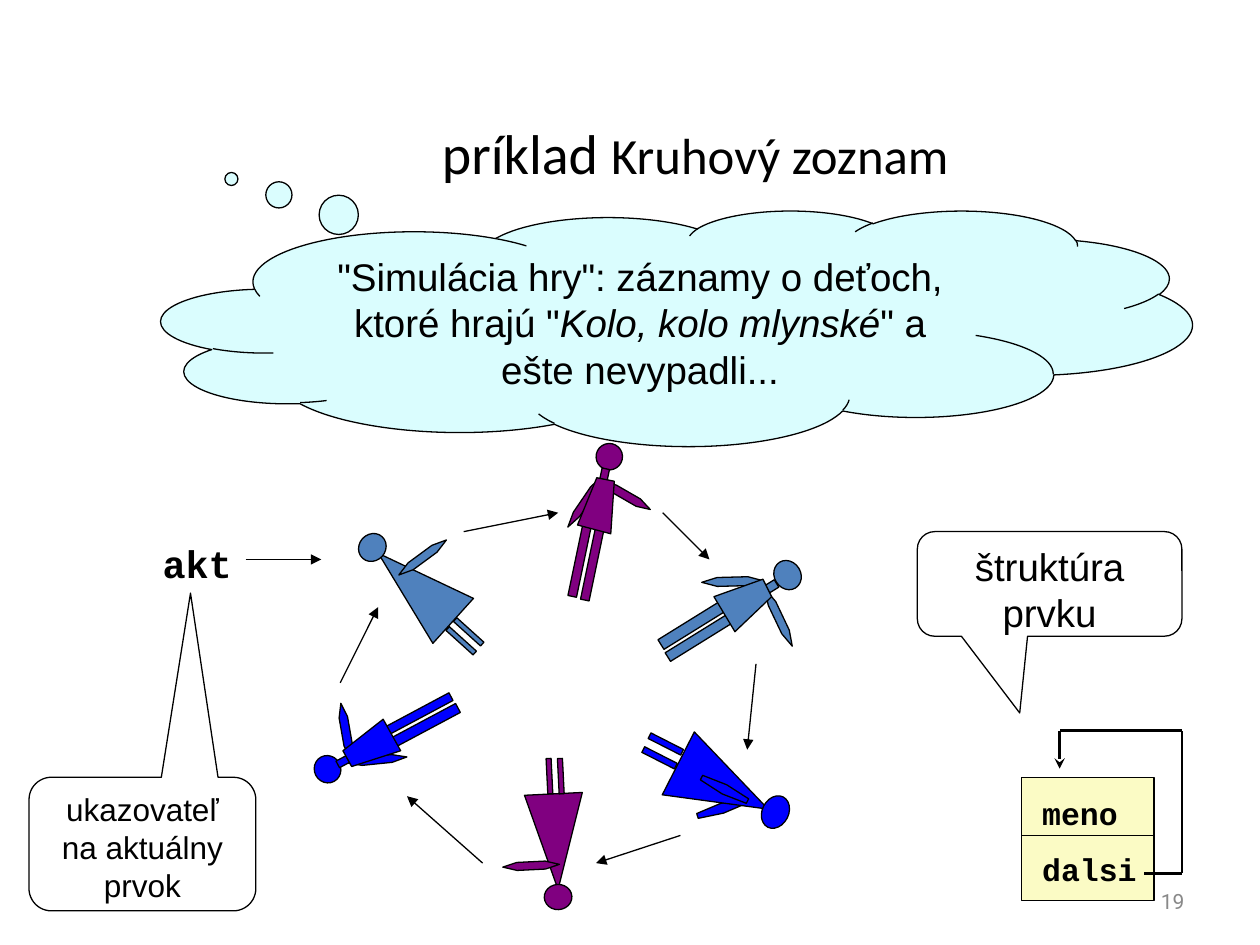
from lxml import etree
from pptx import Presentation
from pptx.dml.color import RGBColor
from pptx.enum import shapes as kinds, text as layout
from pptx.oxml.ns import qn
from pptx.util import Pt

THEME = {
    "black": "000000", "white": "FFFFFF", "grey": "898989", "cloud": "DAFDFE",
    "record": "FBFBC5", "purple": "800080", "steel": "4F81BD", "blue": "0000FF",
    "heading": "Calibri", "body": "Arial", "code": "Courier New", "number": "Roboto",
    "title": 32, "subtitle": 29, "large": 22, "medium": 18, "small": 12,
    "thin": 0.75, "thick": 1.5,
}

# Runs are (text, font, size, bold, italic); boxes are left, top, width, height.
TITLE = [("príklad ", "heading", "title", False, False),
         ("Kruhový zoznam", "heading", "subtitle", False, False)]
THOUGHT = [
    ('"Simulácia hry": záznamy o deťoch, ktoré hrajú "', "body", "large", False, False),
    ("Kolo, kolo mlynské", "body", "large", False, True),
    ('" a ešte nevypadli...', "body", "large", False, False),
]
NOTES = [
    ("ukazovateľ na aktuálny prvok", "medium", (16.6, 444.2, 129.6, 76.3), (0.212, -1.879, 0.167)),
    ("štruktúra prvku", "large", (524.2, 303.8, 151.2, 59.8), (-0.113, 1.233, 0.167)),
]
CODE_LABELS = [
    ("akt", "large", (86.4, 305.3, 52.6, 33.1)),
    ("meno", "medium", (589, 450, 56.2, 28.1)),
    ("dalsi", "medium", (589, 482.4, 67, 28.1)),
]
RECORD = (583.9, 444.2, 75.6, 70.6)
RECORD_DIVIDER = 477.4
NEXT_POINTER = [(653.8, 499), (675.4, 499), (675.4, 417.6), (605.5, 417.6), (605.5, 439.2)]

# Each child: colour, turn, parts back to front as (part, box[, own turn]).
CHILDREN = [
    ("purple", 177.2, [
        ("dress", (301, 453.6, 33.1, 54.7)),
        ("arm", (287.3, 492.4, 32.4, 4.6)),
        ("head", (311, 505.4, 15.8, 14.4)),
        ("leg", (319, 433.4, 2.9, 20.2)),
        ("leg", (312.5, 433.4, 2.9, 20.2))], None),
    ("steel", 312.1, [
        ("dress", (220.3, 306.7, 34.6, 57.6)),
        ("arm", (224.6, 316.1, 33.8, 4.9), 323.7),
        ("head", (204.5, 305.3, 16.6, 15.1)),
        ("leg", (262.1, 355.7, 2.9, 20.9)),
        ("leg", (266.4, 350.6, 2.9, 20.9))], None),
    ("blue", 117, [
        ("arm", (409.7, 447.1, 5.8, 29.5), 72.6),
        ("dress", (393.1, 420.5, 40.3, 57.6)),
        ("arm", (411.1, 436.3, 5.8, 29.5)),
        ("head", (433.4, 456.5, 19.4, 15.1)),
        ("leg", (378.7, 414.7, 3.6, 20.9)),
        ("leg", (375.1, 422.6, 3.6, 20.9))], None),
    ("blue", 241.9, [
        ("arm", (198, 432, 34.6, 4.5), 174.3),
        ("arm", (181.4, 415.4, 32.4, 4.9), 260),
        ("head", (179.3, 432, 15.8, 15.1)),
        ("leg", (239.8, 393.1, 5.8, 43.2)),
        ("leg", (236.2, 386.6, 5, 43.2)),
        ("neck", (193.7, 432, 4.3, 6.5))],
     [(229, 429.1), (200.9, 437.8), (195.8, 429.1), (218.9, 411.1)]),
    ("steel", 58.2, [
        ("arm", (401, 329.8, 35.3, 5.1), 358.6),
        ("arm", (427, 350.6, 36, 4.8), 64.6),
        ("head", (441.4, 321.1, 17.3, 15.1)),
        ("leg", (393.1, 334.8, 6.5, 43.9)),
        ("leg", (397.4, 342, 5.8, 43.9)),
        ("neck", (438.5, 331.9, 5, 6.5))],
     [(407.5, 341.3), (435.6, 331.2), (441.4, 340.6), (419.8, 360.7)]),
    ("purple", 11.8, [
        ("arm", (316.8, 284.4, 35.3, 4.4), 304.2),
        ("arm", (342, 280.8, 31.7, 4.9), 29.9),
        ("head", (340.6, 253.4, 15.1, 15.1)),
        ("leg", (329, 297.4, 5, 43.9)),
        ("leg", (336.2, 299.5, 5, 43.9)),
        ("neck", (343.4, 267.8, 4.3, 6.5))],
     [(329.8, 300.2), (340.6, 272.9), (350.6, 275), (349.2, 304.6)]),
]
CIRCLE_ARROWS = [
    ((194.4, 390.2), (216, 347)), ((265, 303.8), (319, 293)),
    ((378.7, 293), (405.4, 319.7)), ((432, 379.4), (427, 428.4)),
    ((388.8, 477.4), (340.6, 493.2)), ((275.8, 493.2), (232.6, 455)),
    ((140.4, 319.7), (183.6, 319.7)),
]

SHAPE = kinds.MSO_SHAPE
PARTS = {"dress": SHAPE.ISOSCELES_TRIANGLE, "arm": SHAPE.HEXAGON, "head": SHAPE.OVAL,
         "leg": SHAPE.RECTANGLE, "neck": SHAPE.RECTANGLE}
CENTER, RIGHT = layout.PP_ALIGN.CENTER, layout.PP_ALIGN.RIGHT
TOP, MIDDLE = layout.MSO_ANCHOR.TOP, layout.MSO_ANCHOR.MIDDLE

deck = Presentation()
deck.slide_width, deck.slide_height = Pt(720), Pt(540)
slide = deck.slides.add_slide(deck.slide_layouts[6])


def color(name):
    return RGBColor.from_string(THEME[name])


def paint(shape, fill):
    shape.shadow.inherit = False
    shape.fill.solid()
    shape.fill.fore_color.rgb = color(fill)
    shape.line.color.rgb = color("black")
    shape.line.width = Pt(THEME["thin"])
    return shape


def add_preset(kind, box, fill, adjustments=()):
    shape = slide.shapes.add_shape(kind, *map(Pt, box))
    for index, value in enumerate(adjustments):
        shape.adjustments[index] = value
    return paint(shape, fill)


def write(shape, runs, align=CENTER, anchor=TOP, ink="black", wrap=True, inset=(6.5, 3.6)):
    frame = shape.text_frame
    frame.word_wrap = wrap
    frame.vertical_anchor = anchor
    frame.margin_left = frame.margin_right = Pt(inset[0])
    frame.margin_top = frame.margin_bottom = Pt(inset[1])
    paragraph = frame.paragraphs[0]
    paragraph.alignment = align
    for words, font, size, bold, italic in runs:
        run = paragraph.add_run()
        run.text = words
        run.font.name, run.font.size = THEME[font], Pt(THEME[size])
        run.font.bold, run.font.italic = bold, italic
        run.font.color.rgb = color(ink)


def add_label(box, runs, **style):
    write(slide.shapes.add_textbox(*map(Pt, box)), runs, **style)


def add_line(start, end, weight="thin", head=None):
    line = slide.shapes.add_connector(kinds.MSO_CONNECTOR.STRAIGHT, *map(Pt, start + end))
    line.line.color.rgb = color("black")
    line.line.width = Pt(THEME[weight])
    if head:
        etree.SubElement(line.line._get_or_add_ln(), qn("a:tailEnd"), type=head)
    etree.SubElement(line._element.spPr, qn("a:effectLst"))


def add_child(fill, turn, parts, torso):
    for part, box, *own_turn in parts:
        width, height = box[2:]
        point = [0.25 * max(1, width / height)] if part == "arm" else []
        add_preset(PARTS[part], box, fill, point).rotation = own_turn[0] if own_turn else turn
    if torso:
        outline = slide.shapes.build_freeform(*torso[0], scale=Pt(1))
        outline.add_line_segments(torso[1:], close=True)
        paint(outline.convert_to_shape(), fill)


add_label((90.7, 66.2, 613.4, 41.8), TITLE, anchor=MIDDLE, inset=(0, 0))
add_label((516.2, 500.4, 167.8, 28.8), [("19", "number", "small", False, False)],
          align=RIGHT, anchor=MIDDLE, ink="grey", inset=(7.2, 3.6))
thought = add_preset(SHAPE.CLOUD_CALLOUT, (92.2, 120.2, 589, 134.6), "cloud", (-0.432, -0.633))
write(thought, THOUGHT, anchor=MIDDLE)

for child in CHILDREN:
    add_child(*child)
for start, end in CIRCLE_ARROWS:
    add_line(start, end, head="triangle")

for words, size, box, pointer in NOTES:
    note = add_preset(SHAPE.ROUNDED_RECTANGULAR_CALLOUT, box, "white", pointer)
    write(note, [(words, "body", size, False, False)])

add_preset(SHAPE.RECTANGLE, RECORD, "record")
add_line((RECORD[0], RECORD_DIVIDER), (RECORD[0] + RECORD[2], RECORD_DIVIDER))
for words, size, box in CODE_LABELS:
    add_label(box, [(words, "code", size, True, False)], wrap=False)
for start, end in zip(NEXT_POINTER, NEXT_POINTER[1:]):
    add_line(start, end, "thick", "stealth" if end == NEXT_POINTER[-1] else None)

deck.save("out.pptx")
